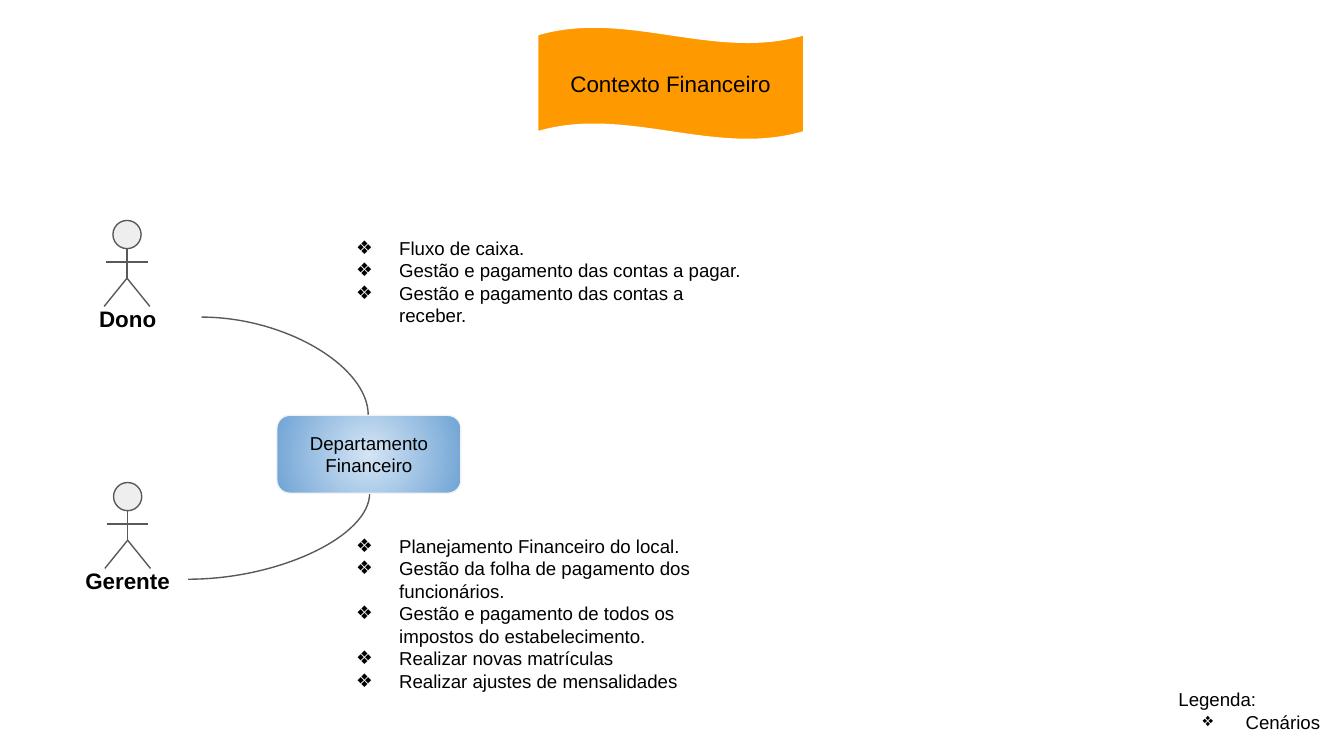
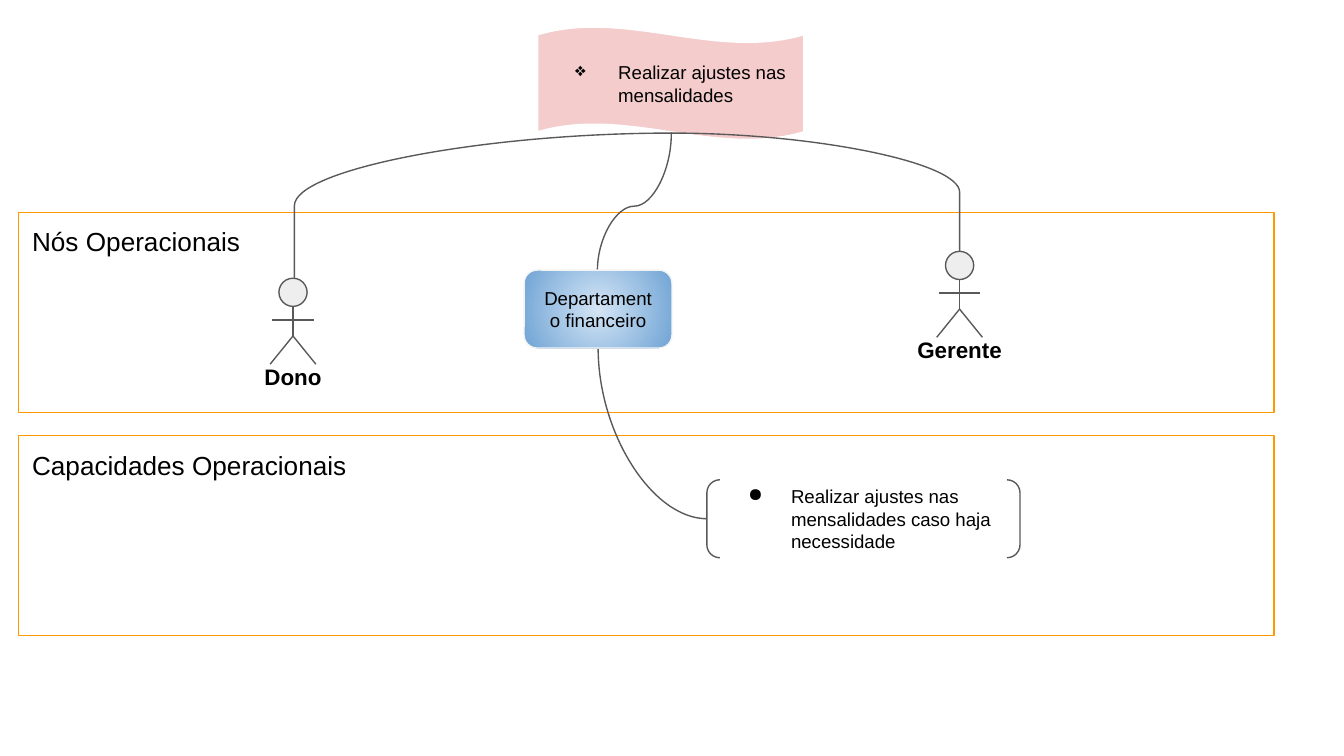
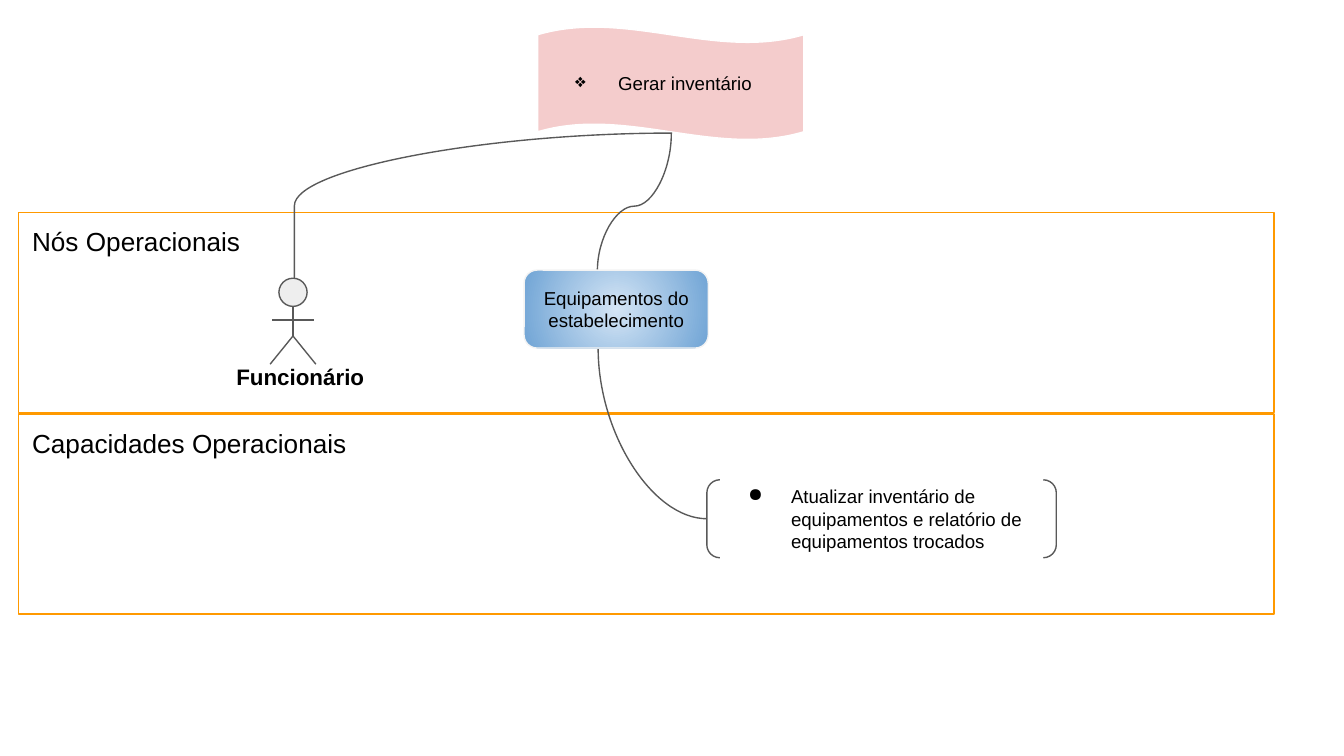
"""Build three operational-context diagrams: finance, fee changes and inventory."""
from dataclasses import dataclass

from lxml import etree
from pptx import Presentation
from pptx import util as u
from pptx.dml.color import RGBColor
from pptx.enum import shapes, text
from pptx.oxml import ns


@dataclass(frozen=True)
class Theme:
    font: str = "Arial"
    ink: str = "000000"
    line: str = "595959"
    head: str = "EEEEEE"
    amber: str = "FF9900"
    rose: str = "F4CCCC"
    white: str = "FFFFFF"
    rim: str = "F3F3F3"
    glow: tuple = ("D4E5F5", "70A4D5")
    small: int = 10
    mid: int = 12
    large: int = 14
    stroke: float = 0.75


theme = Theme()
kinds = shapes.MSO_SHAPE
wires = shapes.MSO_CONNECTOR
LEFT, MID = text.PP_ALIGN.LEFT, text.PP_ALIGN.CENTER
TOP, CORE = text.MSO_ANCHOR.TOP, text.MSO_ANCHOR.MIDDLE

deck = Presentation()
deck.slide_width, deck.slide_height = u.Inches(10), u.Inches(5.625)
cell = deck.slide_width / 100
pad = int(cell)
frame_look = dict(word_wrap=True, auto_size=text.MSO_AUTO_SIZE.NONE, margin_left=pad,
                  margin_right=pad, margin_top=pad, margin_bottom=pad)


def draw(home, kind, spot, fill=None, line=None):
    """Add a shape, or a straight or curved wire, at a spot given in grid cells."""
    left, top, wide, high = (round(n * cell) for n in spot)
    if isinstance(kind, wires):
        item = home.add_connector(kind, left, top, left + wide, top + high)
        etree.SubElement(item.element.spPr, ns.qn("a:effectLst"))
    else:
        item = home.add_shape(kind, left, top, wide, high)
        item.shadow.inherit = False
        if fill:
            item.fill.solid()
            item.fill.fore_color.rgb = RGBColor.from_string(fill)
        else:
            item.fill.background()
    item.line.color.rgb = RGBColor.from_string(line or theme.line)
    item.line.width = u.Pt(theme.stroke)
    return item


def write(item, lines, size=theme.small, align=LEFT, anchor=TOP, bold=False, spot=None):
    """Fill an item with (mark, words) lines, moving it first if a spot is given."""
    if spot:
        for key, val in zip(("left", "top", "width", "height"), spot):
            setattr(item, key, round(val * cell))
    frame = item.text_frame
    for key, val in dict(frame_look, vertical_anchor=anchor).items():
        setattr(frame, key, val)
    for num, (mark, words) in enumerate(lines):
        para = frame.add_paragraph() if num else frame.paragraphs[0]
        para.alignment = align
        para.space_before = para.space_after = u.Pt(0)
        run = para.add_run()
        run.text = words
        for key, val in dict(name=theme.font, size=u.Pt(size), bold=bold).items():
            setattr(run.font, key, val)
        run.font.color.rgb = RGBColor.from_string(theme.ink)
        if mark:
            props = para._p.get_or_add_pPr()
            props.set("marL", str(round(5 * cell)))
            props.set("indent", str(round(-3.2 * cell)))
            tint = etree.SubElement(props, ns.qn("a:buClr"))
            etree.SubElement(tint, ns.qn("a:srgbClr"), val=theme.ink)
            etree.SubElement(props, ns.qn("a:buChar"), char=mark)


star, dot = "❖", "●"
drop = ((42.1, 12.3, 10.2, 5.5), 270, False, 3, 47200)
west = ((21.9, 9.9, 28.1, 10.8), 180, True, 3, 0)
east = ((49.9, 9.9, 21.5, 8.8), 180, False, 3, 0)
hook = ((42.2, 28.2, 12.7, 8.1), 270, True, 2, None)

pages = [
    dict(
        layout=3, banner=theme.amber, title=(None, "Contexto Financeiro"),
        node=("Departamento Financeiro", 20.6, 30.9, 13.7),
        people=[("Gerente", 9.5, 35.9, 5, 9), ("Dono", 9.45, 16.4, 3.9, 11.2)],
        curves=[((15, 23.6, 12.4, 7.3), 0, False, 2, None),
                ((14, 36.7, 13.5, 6.4), 180, True, 2, None)],
        lists=[((23.7, 16.6, 33.2, 12.2),
                ["Fluxo de caixa.", "Gestão e pagamento das contas a pagar.",
                 "Gestão e pagamento das contas a receber."]),
               ((23.7, 38.8, 33.2, 16.6),
                ["Planejamento Financeiro do local.",
                 "Gestão da folha de pagamento dos funcionários.",
                 "Gestão e pagamento de todos os impostos do estabelecimento.",
                 "Realizar novas matrículas", "Realizar ajustes de mensalidades"])],
        legend=[(None, "Legenda:"), (star, "Cenários")],
    ),
    dict(
        layout=5, banner=theme.rose, title=(star, "Realizar ajustes nas mensalidades"),
        node=("Departamento financeiro", 39, 20.1, 11),
        people=[("Dono", 21.8, 20.7, 16.2, 11.2), ("Gerente", 71.4, 18.7, 66.9, 9)],
        curves=[drop, west, east, hook],
        panels=[("Nós Operacionais", 15.8), ("Capacidades Operacionais", 32.4)],
        skill=("Realizar ajustes nas mensalidades caso haja necessidade", 23.3),
    ),
    dict(
        layout=5, banner=theme.rose, title=(star, "Gerar inventário"),
        node=("Equipamentos do estabelecimento", 39, 20.1, 13.7),
        people=[("Funcionário", 21.8, 20.7, 15.5, 13.7)],
        curves=[drop, west, hook],
        panels=[("Nós Operacionais", 15.8), ("Capacidades Operacionais", 30.8)],
        skill=("Atualizar inventário de equipamentos e relatório de equipamentos trocados", 26),
    ),
]

for page in pages:
    slide = deck.slides.add_slide(deck.slide_layouts[page["layout"]])
    home = slide.shapes

    for name, top in page.get("panels", []):
        panel = draw(home, kinds.RECTANGLE, (1.4, top, 93.4, 14.9), line=theme.amber)
        write(panel, [(None, name)], theme.large)

    crest = (40, 2, 19.8, 8.4)
    wave = draw(home, kinds.WAVE, crest, page["banner"], theme.white)
    wave.adjustments[0], wave.adjustments[1] = 0.07, 0
    mark = page["title"][0]
    title = home.title
    write(title, [page["title"]], theme.small if mark else theme.mid,
          LEFT if mark else MID, CORE, spot=crest)
    title.element.getparent().append(title.element)

    for name, mid, top, left, wide in page["people"]:
        group = home.add_group_shape().shapes
        draw(group, kinds.FLOWCHART_CONNECTOR, (mid - 1.05, top, 2.1, 2.1), theme.head)
        for limb in ((0, 2.15, 0, 2.15), (-1.55, 3.1, 3.1, 0),
                     (0, 4.3, -1.7, 2.1), (0, 4.3, 1.7, 2.1)):
            draw(group, wires.STRAIGHT, (mid + limb[0], top + limb[1], *limb[2:]))
        label = group.add_textbox(0, 0, pad, pad)
        write(label, [(None, name)], theme.mid, MID, bold=True,
              spot=(left, top + 5.3, wide, 3.7))

    for spot, turn, flip, bends, bow in page["curves"]:
        curve = draw(home, wires.CURVE, spot)
        form = curve.element.spPr.find(ns.qn("a:xfrm"))
        form.set("rot", str(turn * 60000))
        form.set("flipH", str(int(flip)))
        geom = curve.element.spPr.find(ns.qn("a:prstGeom"))
        geom.set("prst", f"curvedConnector{bends}")
        if bow is not None:
            etree.SubElement(geom.find(ns.qn("a:avLst")), ns.qn("a:gd"),
                             name="adj1", fmla=f"val {bow}")

    if "skill" in page:
        words, wide = page["skill"]
        skill = draw(home, kinds.DOUBLE_BRACKET, (52.6, 35.7, wide, 5.8))
        write(skill, [(dot, words)], anchor=CORE)

    words, left, top, wide = page["node"]
    node = draw(home, kinds.ROUNDED_RECTANGLE, (left, top, wide, 5.8), line=theme.rim)
    node.fill.gradient()
    for stop, tint in zip(node.fill.gradient_stops, theme.glow):
        stop.color.rgb = RGBColor.from_string(tint)
    grad = node.element.spPr.find(ns.qn("a:gradFill"))
    grad.remove(grad.find(ns.qn("a:lin")))
    ring = etree.Element(ns.qn("a:path"), path="circle")
    etree.SubElement(ring, ns.qn("a:fillToRect"), dict.fromkeys("ltrb", "50000"))
    grad.find(ns.qn("a:gsLst")).addnext(ring)
    write(node, [(None, words)], align=MID, anchor=CORE)

    for num, (spot, items) in enumerate(page.get("lists", []), 1):
        write(slide.placeholders[num], [(star, item) for item in items], spot=spot)

    if "legend" in page:
        legend = home.add_textbox(0, 0, pad, pad)
        write(legend, page["legend"], spot=(86.7, 50.2, 12.7, 5.2))

deck.save("out.pptx")
